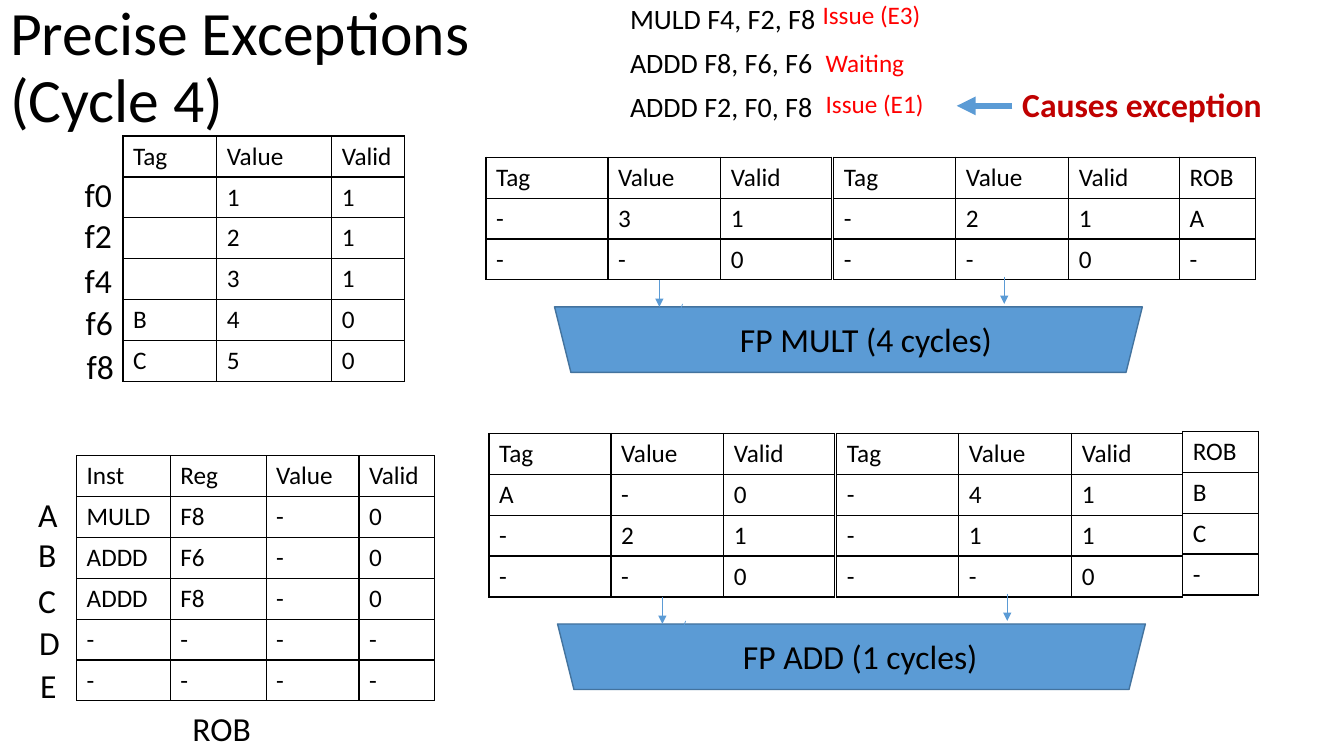
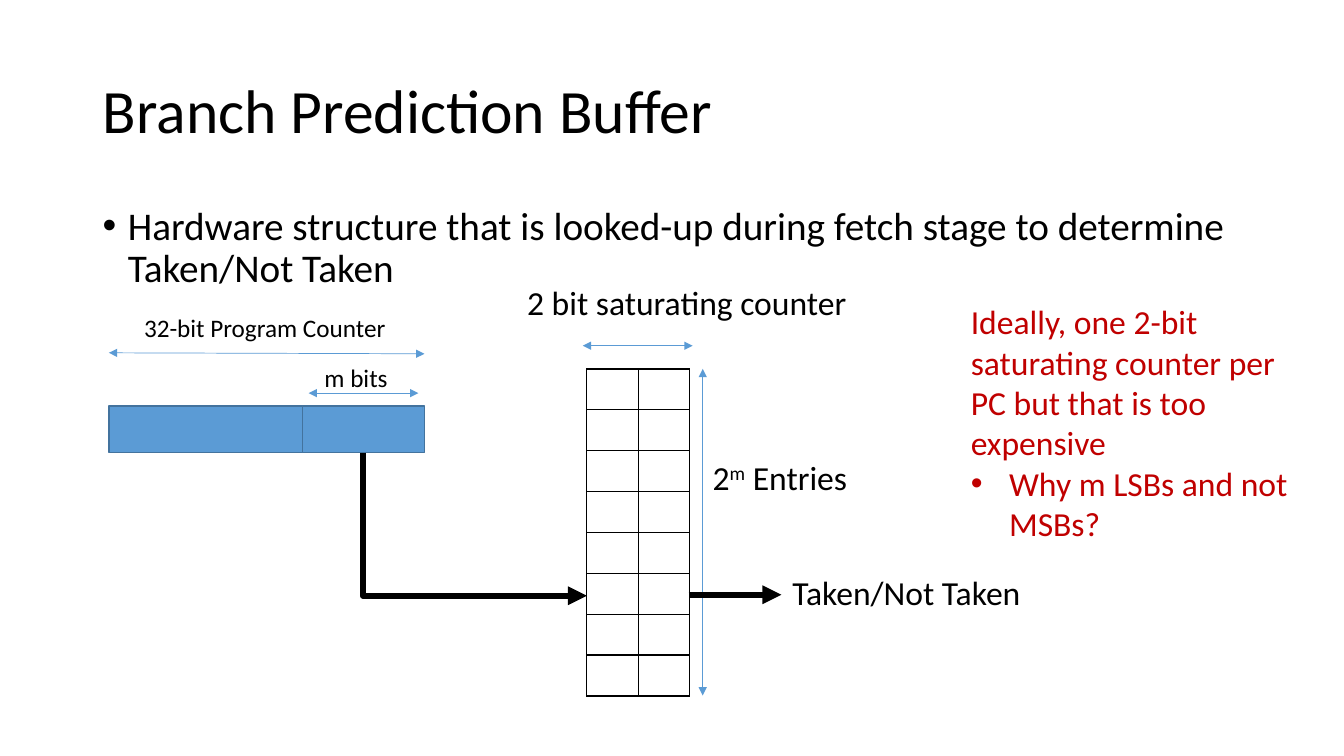
"""Build two lecture slides on precise exceptions and branch prediction."""
from lxml import etree
from pptx import Presentation
from pptx.dml.color import RGBColor
from pptx.enum.dml import MSO_LINE
from pptx.enum.shapes import MSO_CONNECTOR, MSO_SHAPE
from pptx.enum.text import MSO_ANCHOR, MSO_AUTO_SIZE, PP_ALIGN
from pptx.oxml.ns import qn
from pptx.util import Inches, Pt

LEFT, MID, TOP = PP_ALIGN.LEFT, MSO_ANCHOR.MIDDLE, MSO_ANCHOR.TOP
FIT, FIXED = MSO_AUTO_SIZE.SHAPE_TO_FIT_TEXT, MSO_AUTO_SIZE.NONE
STRAIGHT, ELBOW = MSO_CONNECTOR.STRAIGHT, MSO_CONNECTOR.ELBOW
RECT, TRAP, SOLID = MSO_SHAPE.RECTANGLE, MSO_SHAPE.TRAPEZOID, MSO_LINE.SOLID
FONT = "Calibri"
BLACK, BLUE, EDGE, RED, DARK = "000000", "5B9BD5", "43739E", "FF0000", "C00000"
ROW = 2.43 / 6
rgb = RGBColor.from_string


def write(shape, box, paras, size, color=BLACK, bold=False, wrap=False,
          fit=FIT, anchor=TOP, lead=1.0, gap=0, hang=0.38):
    """Place a shape and fill it; '|' parts runs, '^' raises, a bullet hangs."""
    shape.left, shape.top, shape.width, shape.height = map(Inches, box)
    frame = shape.text_frame
    frame.word_wrap, frame.auto_size, frame.vertical_anchor = wrap, fit, anchor
    for i, para in enumerate(paras):
        p = frame.add_paragraph() if i else frame.paragraphs[0]
        p.alignment, p.line_spacing, p.space_before = LEFT, lead, Pt(gap)
        if para.startswith("•"):
            props = p._p.get_or_add_pPr()
            props.set("marL", str(Inches(hang)))
            props.set("indent", str(-Inches(hang)))
            etree.SubElement(props, qn("a:buFont"), typeface="Arial")
            etree.SubElement(props, qn("a:buChar"), char="•")
        for part in para.lstrip("•").split("|"):
            if part == "\n":
                p.add_line_break()
                continue
            run = p.add_run()
            run.text = part.lstrip("^")
            run.font.name, run.font.size, run.font.bold = FONT, Pt(size), bold
            run.font.color.rgb = rgb(color)
            if part.startswith("^"):
                run._r.get_or_add_rPr().set("baseline", "30000")


def link(slide, start, end, color=BLUE, width=0.5, both=False, kind=STRAIGHT):
    """Draw an arrow from start to end."""
    line = slide.shapes.add_connector(kind, *map(Inches, start + end))
    line.line.color.rgb, line.line.width = rgb(color), Pt(width)
    line.line.dash_style = SOLID
    ln = line.line._get_or_add_ln()
    for tag in ["a:headEnd", "a:tailEnd"] if both else ["a:tailEnd"]:
        etree.SubElement(ln, qn(tag), type="triangle")
    etree.SubElement(line._element.spPr, qn("a:effectLst"))
    return line


deck = Presentation()
deck.slide_width, deck.slide_height = Inches(13.33), Inches(7.5)
slides = []
for x, y, title in [(0, -0.04, "Precise Exceptions|\n|(Cycle 4)"),
                    (0.92, 0.4, "Branch Prediction Buffer")]:
    slide = deck.slides.add_slide(deck.slide_layouts[5])
    write(slide.shapes.title, (x, y, 11.5, 1.45), [title], 44,
          wrap=True, fit=FIXED, anchor=MID, lead=0.9)
    slides.append(slide)
cycle, branch = slides

units = [
    (4.82, 1.56, 1.56, "FP MULT (4 cycles)", 2.72,
     ["- 3 1", "- - 0"], ["- 2 1", "- - 0"], ["A", "-"]),
    (4.85, 4.3, 4.28, "FP ADD (1 cycles)", 2.55,
     ["A - 0", "- 2 1", "- - 0"], ["- 4 1", "- 1 1", "- - 0"], ["B", "C", "-"]),
]
head, wide = "Tag Value Valid", [1.21, 1.12, 1.1]
tables = [
    (cycle, 1.22, 1.35, [0.93, 1.14, 0.72],
     [head, " 1 1", " 2 1", " 3 1", "B 4 0", "C 5 0"]),
    (cycle, 0.76, 4.52, [0.93, 0.95, 0.92],
     ["Inst Reg Value", "MULD F8 -", "ADDD F6 -", "ADDD F8 -", "- - -", "- - -"]),
    (cycle, 3.56, 4.52, [0.75], ["Valid", "0", "0", "0", "-", "-"]),
    (branch, 5.82, 3.66, [0.51, 0.51], [" "] * 8),
]
blocks = [(branch, RECT, 1.08, 4.03, 1.92, 0.46, 0),
          (branch, RECT, 3, 4.03, 1.21, 0.46, 0)]
for x, y, lift, name, span, first, second, rob in units:
    tables += [(cycle, x, y, wide, [head] + first),
               (cycle, x + 3.45, y, wide, [head] + second),
               (cycle, x + 6.88, lift, [0.75], ["ROB"] + rob)]
    base = y + ROW * (len(first) + 1)
    blocks.append((cycle, TRAP, x + 0.68, base + 0.27, 5.83, 0.65, 180))

for slide, x, y, cols, rows in tables:
    frame = slide.shapes.add_table(len(rows), len(cols), Inches(x), Inches(y),
                                   Inches(sum(cols)), Inches(ROW * len(rows)))
    grid = frame.table
    grid.first_row = grid.horz_banding = False
    for col, width in zip(grid.columns, cols):
        col.width = Inches(width)
    for r, row in enumerate(rows):
        grid.rows[r].height = Inches(ROW)
        for c, word in enumerate(row.split(" ")):
            cell = grid.cell(r, c)
            props = cell._tc.get_or_add_tcPr()
            for side in "LRTB":
                edge = etree.SubElement(props, qn("a:ln" + side), w=str(Pt(1)))
                fill = etree.SubElement(edge, qn("a:solidFill"))
                etree.SubElement(fill, qn("a:srgbClr"), val=BLACK)
            cell.fill.background()
            if word:
                run = cell.text_frame.paragraphs[0].add_run()
                run.text = word
                run.font.name, run.font.size = FONT, Pt(18)
                run.font.color.rgb = rgb(BLACK)

for slide, kind, x, y, w, h, turn in blocks:
    block = slide.shapes.add_shape(kind, *map(Inches, (x, y, w, h)))
    block.shadow.inherit = False
    block.rotation = turn
    block.fill.solid()
    block.fill.fore_color.rgb = rgb(BLUE)
    block.line.color.rgb, block.line.width = rgb(EDGE), Pt(1)

for x, y, lift, name, span, first, second, rob in units:
    base = y + ROW * (len(first) + 1)
    for x1, y1, x2, y2 in [(5.14, -0.03, 5.14, 0.24), (1.95, 0.24, 1.88, 0.43),
                           (1.72, 0, 1.72, 0.27)]:
        link(cycle, (x + x1, base + y1), (x + x2, base + y2))
    write(cycle.shapes.add_textbox(0, 0, 0, 0),
          (x + 2.42, base + 0.34, span, 0.5), [name], 24)
link(cycle, (10.04, 1.05), (9.49, 1.05), width=4.5)

for x, y, names in [(0.74, 1.68, "f0 f2 f4 f6 f8"), (0.28, 4.85, "A B C D E")]:
    for name, dx, dy in zip(names.split(), [0, 0, 0, 0.01, 0.02],
                            [0, 0.4, 0.85, 1.27, 1.7]):
        write(cycle.shapes.add_textbox(0, 0, 0, 0),
              (x + dx, y + dy, 0.62, 0.5), [name], 24, wrap=True)
write(cycle.shapes.add_textbox(0, 0, 0, 0), (6.15, 0, 2.89, 1.4),
      ["MULD F4, F2, F8", "ADDD F8, F6, F6", "ADDD F2, F0, F8"], 20,
      wrap=True, fit=FIXED, lead=0.9, gap=10)
write(branch.shapes.add_textbox(0, 0, 0, 0), (0.92, 2, 11.5, 4.76),
      ["•Hardware structure that is looked-up during fetch stage to determine "
       "Taken/Not Taken"], 28, wrap=True, fit=FIXED, lead=0.9, gap=10, hang=0.25)

for start, end in [((1.08, 3.5), (4.21, 3.51)), ((3.06, 3.9), (4.15, 3.9)),
                   ((6.97, 3.66), (6.97, 6.9)), ((5.78, 3.43), (6.87, 3.43))]:
    link(branch, start, end, both=True)
link(branch, (6.83, 5.9), (7.75, 5.9), BLACK, 4.5)
bend = link(branch, (5.42, 4.09), (4, 6.31), BLACK, 4.5, kind=ELBOW)
shape = bend._element.spPr
shape.find(qn("a:prstGeom")).set("prst", "bentConnector2")
shape.find(qn("a:xfrm")).set("rot", str(270 * 60000))

for slide, x, y, w, h, words, size, color, bold in [
    (cycle, 8.09, 0.42, 0.99, 0.4, "Waiting", 18, RED, False),
    (cycle, 8.06, -0.06, 1.18, 0.4, "Issue (E3)", 18, RED, False),
    (cycle, 8.09, 0.83, 1.18, 0.4, "Issue (E1)", 18, RED, False),
    (cycle, 1.81, 6.97, 0.79, 0.5, "ROB", 24, BLACK, False),
    (cycle, 10.04, 0.78, 2.61, 0.5, "Causes exception", 24, DARK, True),
    (branch, 1.33, 3.05, 2.62, 0.4, "32-bit Program Counter", 18, BLACK, False),
    (branch, 3.12, 3.55, 0.83, 0.4, "m bits", 18, BLACK, False),
    (branch, 6.97, 4.48, 1.57, 0.5, "2|^m| Entries", 24, BLACK, False),
    (branch, 5.13, 2.75, 3.4, 0.5, "2 bit saturating counter", 24, BLACK, False),
    (branch, 7.76, 5.62, 2.49, 0.5, "Taken/Not Taken", 24, BLACK, False),
]:
    write(slide.shapes.add_textbox(0, 0, 0, 0), (x, y, w, h), [words], size,
          color, bold)
write(branch.shapes.add_textbox(0, 0, 0, 0), (9.53, 2.94, 3.62, 2.52),
      ["Ideally, one 2-bit saturating counter per PC but that is too expensive",
       "•Why m LSBs and not MSBs?"], 24, DARK, wrap=True)

deck.save("out.pptx")
